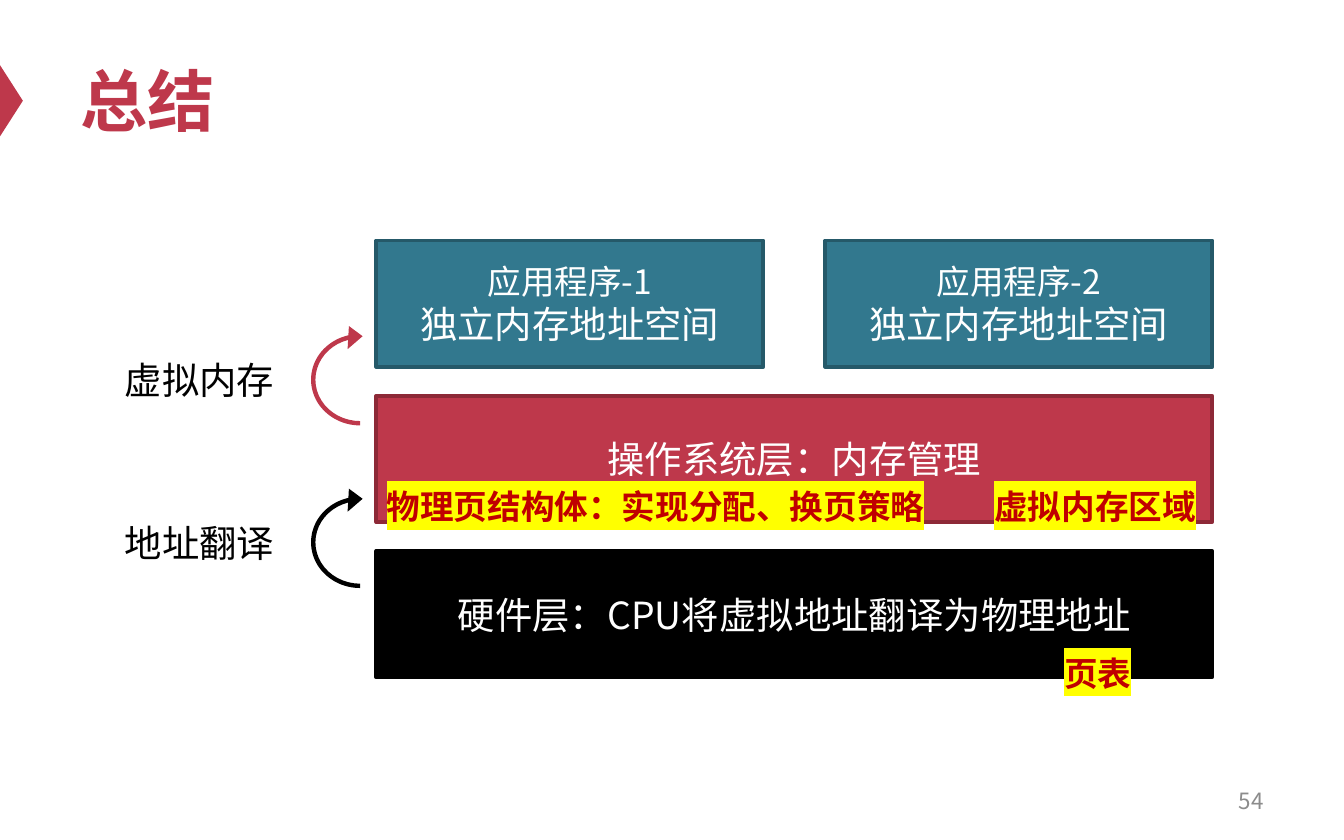
import pptx
import pptx.dml.color
import pptx.enum.shapes
import pptx.enum.text
import pptx.oxml
import pptx.oxml.ns
import pptx.util
from pptx.util import Inches

SHAPES = pptx.enum.shapes.MSO_SHAPE
ALIGN = pptx.enum.text.PP_ALIGN
MIDDLE = pptx.enum.text.MSO_ANCHOR.MIDDLE
CJK = "Noto Sans CJK SC"
RED, TEAL, BLACK, WHITE = "BE384B", "32788E", "000000", "FFFFFF"


def colour(value):
    """Turn a hex string into a colour."""
    return pptx.dml.color.RGBColor.from_string(value)


def apply(target, formats):
    """Set each named format value on the target."""
    for name, value in formats.items():
        setattr(target, name, value)


def add_span(para, text, size, ink, font=CJK, bold=False, highlight=None):
    """Append one formatted span of text to a paragraph."""
    span = para.add_run()
    span.text = text
    apply(span.font, {"size": pptx.util.Pt(size), "bold": bold, "name": font})
    span.font.color.rgb = colour(ink)
    properties = span.font._element
    east = pptx.oxml.parse_xml(f'<a:ea {pptx.oxml.ns.nsdecls("a")} typeface="{CJK}"/>')
    properties.find(pptx.oxml.ns.qn("a:latin")).addnext(east)
    if highlight:
        mark = pptx.oxml.parse_xml(
            f'<a:highlight {pptx.oxml.ns.nsdecls("a")}><a:srgbClr val="{highlight}"/></a:highlight>')
        properties.find(pptx.oxml.ns.qn("a:solidFill")).addnext(mark)


def add_text(page, box, text, size, ink, align=ALIGN.LEFT, wrap=False, anchor=None, **style):
    """Place a one-line text box."""
    frame = page.shapes.add_textbox(*map(Inches, box)).text_frame
    apply(frame, {"word_wrap": wrap, "vertical_anchor": anchor})
    para = frame.paragraphs[0]
    para.alignment = align
    add_span(para, text, size, ink, **style)


def add_figure(page, kind, box, fill, edge=None, rotation=0):
    """Place a preset shape without a shadow."""
    figure = page.shapes.add_shape(kind, *map(Inches, box))
    figure.shadow.inherit = False
    figure.rotation = rotation
    figure.fill.solid()
    figure.fill.fore_color.rgb = colour(fill)
    if edge:
        figure.line.color.rgb = colour(edge)
        figure.line.width = pptx.util.Pt(2)
    else:
        figure.line.fill.background()
    return figure


def add_heading(page, box, text):
    """Place the title and the pointer at the page edge beside it."""
    left, top, width, height = box
    long, short = 0.53, 0.17
    pointer = ((short - long) / 2, top + (height - short) / 2 + 0.01, long, short)
    add_figure(page, SHAPES.ISOSCELES_TRIANGLE, pointer, RED, rotation=90)
    add_text(page, box, text, 36, RED, wrap=True, anchor=MIDDLE, font="Arial", bold=True)


def add_layer(page, box, lines, fill, edge):
    """Place a filled block with centred lines given as text and size."""
    frame = add_figure(page, SHAPES.RECTANGLE, box, fill, edge).text_frame
    apply(frame, {"word_wrap": True, "vertical_anchor": MIDDLE})
    para = frame.paragraphs[0]
    para.alignment = ALIGN.CENTER
    for index, (text, size) in enumerate(lines):
        if index:
            para.add_line_break()
        add_span(para, text, size, WHITE)


def add_step(page, box, text, fill):
    """Place a label with a curved arrow to its right."""
    left, top, width, height = box
    add_text(page, (left, top + 0.22, 1.32, 0.44), text, 20, BLACK, font="Arial")
    arrow = add_figure(page, SHAPES.CIRCULAR_ARROW,
                       (left + width - 0.82, top, 0.82, height), fill, rotation=270)
    for index, value in enumerate((0.04, 11.423, 206.559, 108, 0.105)):
        arrow.adjustments[index] = value


def add_stack(page, box):
    """Place applications, system and hardware layers with their tags."""
    left, top, width, height = box
    deep, half = 0.94, 2.88
    pitch = (height - deep) / 2
    add_layer(page, (left, top + 2 * pitch, width, deep),
              [("硬件层：CPU将虚拟地址翻译为物理地址", 20)], BLACK, BLACK)
    add_layer(page, (left, top + pitch, width, deep),
              [("操作系统层：内存管理", 20)], RED, "8D2937")
    for index in range(2):
        add_layer(page, (left + index * (width - half), top, half, deep),
                  [(f"应用程序-{index + 1}", 18), ("独立内存地址空间", 20)], TEAL, "255969")
    tags = [("页表", 5.02, 3.02, 0.71), ("虚拟内存区域", 4.5, 1.78, 1.72),
            ("物理页结构体：实现分配、换页策略", -0.02, 1.78, 4.24)]
    for text, across, down, wide in tags:
        add_text(page, (left + across, top + down, wide, 0.4), text, 18, "C00000",
                 font="Arial", bold=True, highlight="FFFF00")


def main():
    """Build the summary slide."""
    deck = pptx.Presentation()
    apply(deck, {"slide_width": Inches(10), "slide_height": Inches(6.25)})
    page = deck.slides.add_slide(deck.slide_layouts[6])
    add_heading(page, (0.5, 0.25, 9, 0.98), "总结")
    add_text(page, (7.17, 5.79, 2.33, 0.33), "54", 12, "8C8C8C",
             align=ALIGN.RIGHT, wrap=True, anchor=MIDDLE)
    add_stack(page, (2.8, 1.79, 6.22, 3.25))
    for index, (text, fill) in enumerate((("虚拟内存", RED), ("地址翻译", BLACK))):
        add_step(page, (0.83, 2.39 + 1.21 * index, 2.26, 0.87), text, fill)
    deck.save("out.pptx")


if __name__ == "__main__":
    main()
